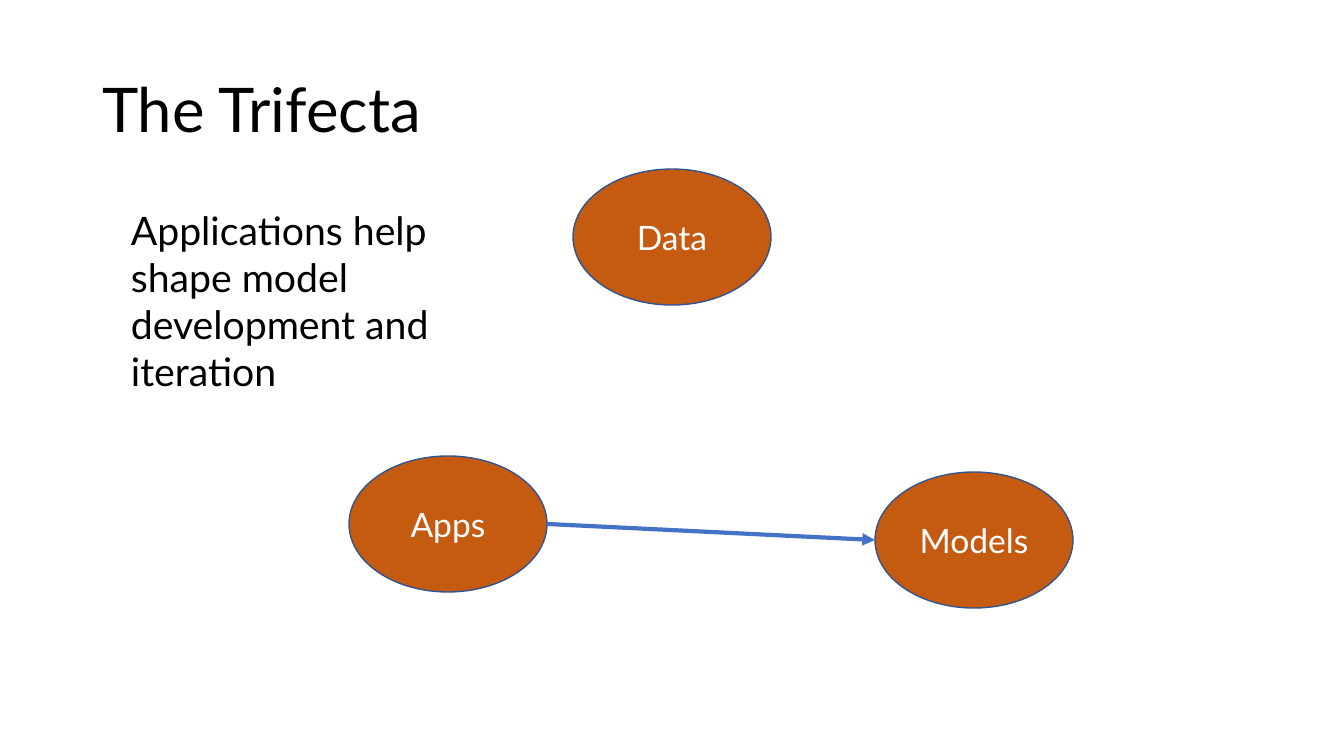
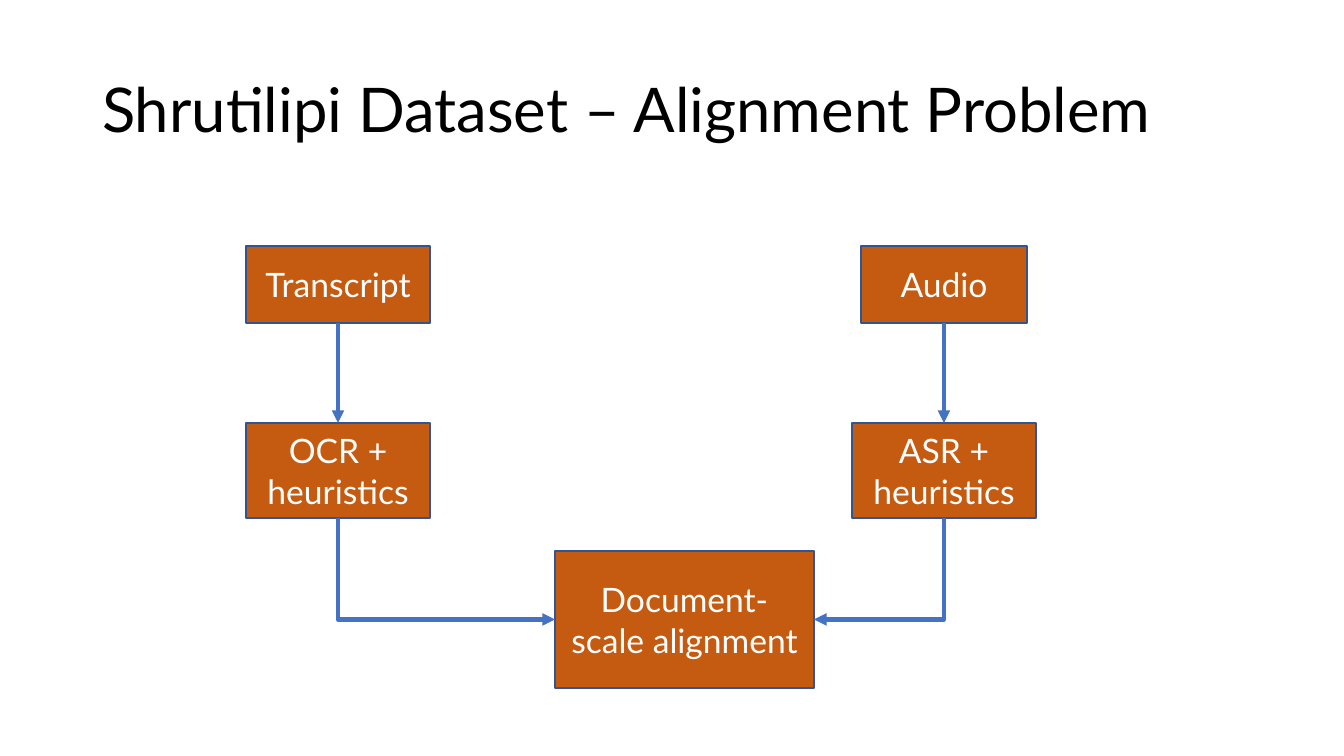
from dataclasses import dataclass

from lxml import etree
from pptx import Presentation
from pptx.dml.color import RGBColor
from pptx.enum.shapes import MSO_CONNECTOR, MSO_SHAPE
from pptx.enum.text import MSO_ANCHOR, MSO_AUTO_SIZE, PP_ALIGN
from pptx.oxml.ns import qn
from pptx.util import Pt

ELLIPSE, RECTANGLE = MSO_SHAPE.OVAL, MSO_SHAPE.RECTANGLE
STRAIGHT, ELBOW = MSO_CONNECTOR.STRAIGHT, MSO_CONNECTOR.ELBOW
LEFT, CENTER = PP_ALIGN.LEFT, PP_ALIGN.CENTER
MIDDLE = MSO_ANCHOR.MIDDLE
TOP_SIDE, LEFT_SIDE, BOTTOM_SIDE, RIGHT_SIDE = range(4)
TITLE_ONLY_LAYOUT = 5
EMU_PER_PX = 914400 / 100.8


@dataclass(frozen=True)
class Theme:
    font: str = "Lato"
    ink: RGBColor = RGBColor.from_string("000000")
    node_text: RGBColor = RGBColor.from_string("FFFFFF")
    node_fill: RGBColor = RGBColor.from_string("C55A11")
    node_line: RGBColor = RGBColor.from_string("325491")
    arrow: RGBColor = RGBColor.from_string("4472C4")
    title_size: int = 44
    text_size: int = 28
    node_size: int = 24
    node_line_width: int = 1
    arrow_width: int = 3


THEME = Theme()


def px(length):
    return round(length * EMU_PER_PX)


def place(shape, left, top, width, height):
    shape.left, shape.top = px(left), px(top)
    shape.width, shape.height = px(width), px(height)


def write(frame, text, size, color, align):
    frame.text = text
    frame.word_wrap = True
    para = frame.paragraphs[0]
    para.alignment = align
    para.font.name = THEME.font
    para.font.size = Pt(size)
    para.font.color.rgb = color
    return para


def add_page(deck, title):
    page = deck.slides.add_slide(deck.slide_layouts[TITLE_ONLY_LAYOUT])
    frame = page.shapes.title.text_frame
    frame.auto_size = MSO_AUTO_SIZE.NONE
    frame.vertical_anchor = MIDDLE
    para = write(frame, title, THEME.title_size, THEME.ink, LEFT)
    para.line_spacing = 0.9
    return page


def add_text(page, text, left, top, width, height):
    box = page.shapes.add_textbox(px(left), px(top), px(width), px(height))
    write(box.text_frame, text, THEME.text_size, THEME.ink, LEFT)


def add_node(page, kind, text, left, top, width, height):
    node = page.shapes.add_shape(kind, px(left), px(top), px(width), px(height))
    node.shadow.inherit = False
    node.fill.solid()
    node.fill.fore_color.rgb = THEME.node_fill
    node.line.color.rgb = THEME.node_line
    node.line.width = Pt(THEME.node_line_width)
    node.text_frame.vertical_anchor = MIDDLE
    write(node.text_frame, text, THEME.node_size, THEME.node_text, CENTER)
    return node


def side_middle(node, side):
    center_x = node.left + node.width // 2
    center_y = node.top + node.height // 2
    return {
        TOP_SIDE: (center_x, node.top),
        LEFT_SIDE: (node.left, center_y),
        BOTTOM_SIDE: (center_x, node.top + node.height),
        RIGHT_SIDE: (node.left + node.width, center_y),
    }[side]


def add_link(page, kind, start, start_side, end, end_side, arrow_end="tailEnd"):
    """Draw an arrow between two sides; headEnd puts the tip at the start."""
    link = page.shapes.add_connector(
        kind, *side_middle(start, start_side), *side_middle(end, end_side))
    if start.auto_shape_type == RECTANGLE:
        link.begin_connect(start, start_side)
    if end.auto_shape_type == RECTANGLE:
        link.end_connect(end, end_side)
    link.line.color.rgb = THEME.arrow
    link.line.width = Pt(THEME.arrow_width)
    properties = link._element.spPr
    etree.SubElement(properties.find(qn("a:ln")), qn("a:" + arrow_end), type="triangle")
    etree.SubElement(properties, qn("a:effectLst"))
    if kind == ELBOW:
        # One corner: leaves the start sideways and meets the end vertically.
        properties.find(qn("a:prstGeom")).set("prst", "bentConnector2")


def build_trifecta(deck):
    page = add_page(deck, "The Trifecta")
    corners = {"Models": (875, 472), "Data": (573, 169), "Apps": (349, 456)}
    nodes = {
        text: add_node(page, ELLIPSE, text, left, top, 198, 136)
        for text, (left, top) in corners.items()
    }
    add_link(page, STRAIGHT, nodes["Apps"], RIGHT_SIDE, nodes["Models"], LEFT_SIDE)
    add_text(page, "Applications help shape model development and iteration",
             121, 201, 405, 201)


def build_alignment(deck):
    page = add_page(deck, "Shrutilipi Dataset – Alignment Problem")
    alignment = add_node(page, RECTANGLE, "Document-scale alignment", 555, 551, 259, 137)
    branches = [
        ("Transcript", 184, "OCR + heuristics", 338, LEFT_SIDE),
        ("Audio", 166, "ASR + heuristics", 944, RIGHT_SIDE),
    ]
    for source_text, source_width, step_text, center, side in branches:
        source = add_node(page, RECTANGLE, source_text,
                          center - source_width // 2, 246, source_width, 77)
        step = add_node(page, RECTANGLE, step_text, center - 92, 423, 184, 95)
        add_link(page, STRAIGHT, source, BOTTOM_SIDE, step, TOP_SIDE)
        add_link(page, ELBOW, alignment, side, step, BOTTOM_SIDE, "headEnd")


def main():
    deck = Presentation()
    deck.slide_width, deck.slide_height = px(1344), px(756)
    place(deck.slide_layouts[TITLE_ONLY_LAYOUT].placeholders[0], 92, 40, 1159, 146)
    build_trifecta(deck)
    build_alignment(deck)
    deck.save("out.pptx")


if __name__ == "__main__":
    main()
